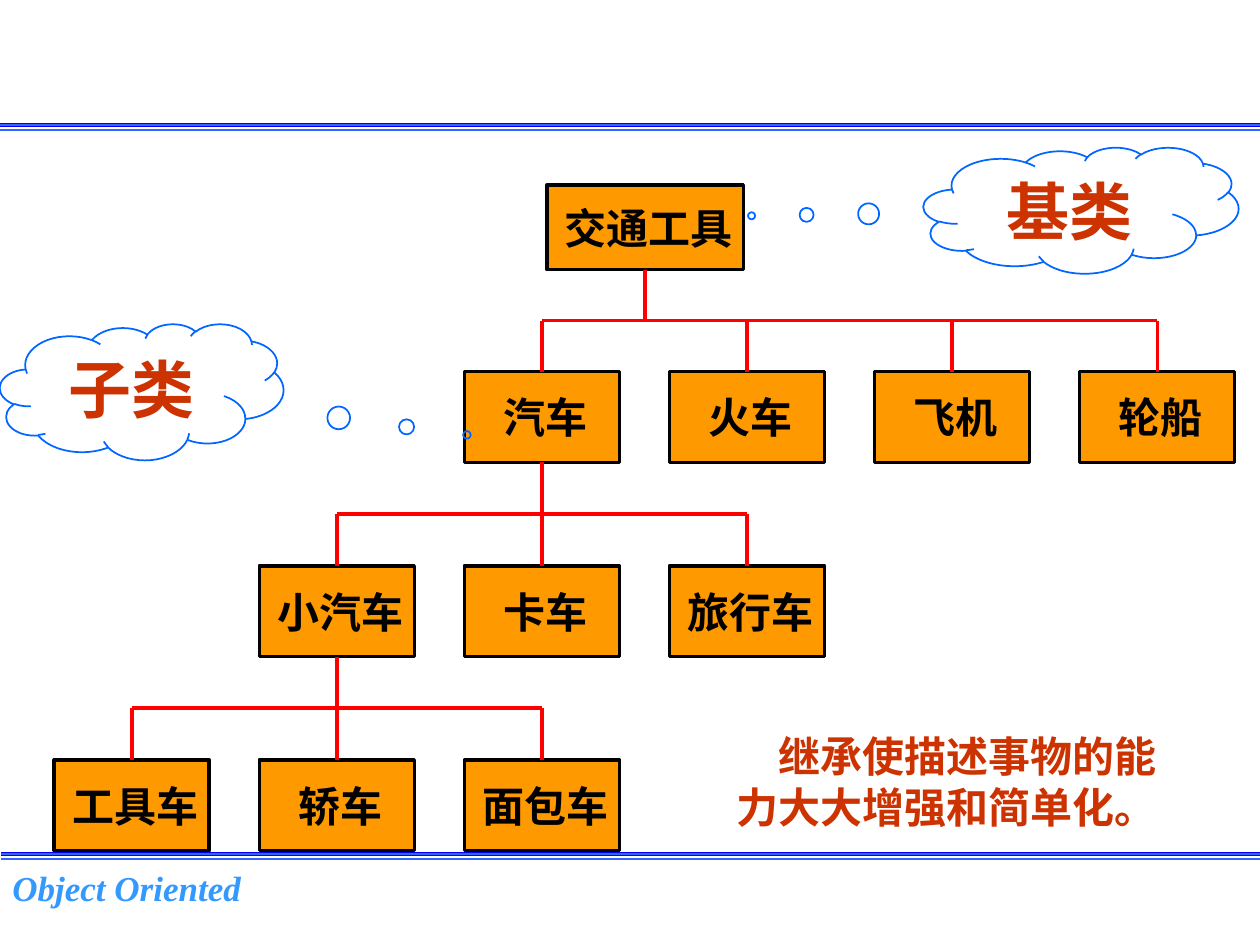
import itertools
import pptx
import pptx.util
import pptx.dml.color
import pptx.enum.shapes
import pptx.enum.text
import pptx.oxml

Pt = pptx.util.Pt
Kind = pptx.enum.shapes.MSO_SHAPE
Anchor = pptx.enum.text.MSO_ANCHOR
Align = pptx.enum.text.PP_ALIGN

ROOT = "交通工具"
ROWS = [
    (ROOT, 2, ["汽车", "火车", "飞机", "轮船"]),
    ("汽车", 1, ["小汽车", "卡车", "旅行车"]),
    ("小汽车", 0, ["工具车", "轿车", "面包车"]),
]
SANS = {ROOT, "汽车"}
CLOUDS = [
    ("基类", (527.76, 84.24, 180, 72), (-1.046, 0.043)),
    ("子类", (0, 185.04, 162, 77.76), (1.147, 0.316)),
]
NOTES = [
    ("Object Oriented", (0, 491.76, 235.44, 37.44), "3399FF",
     {"size": Pt(20), "italic": True}),
    ("\u3000继承使描述事物的能力大大增强和简单化。".replace("\u3000", "　"),
     (414, 414, 277.2, 64.8), "CC3300", {"size": Pt(24)}),
]
RULES = [(0, 71.28), (0.72, 488.16)]
STROKES = [(0, "0000FF", 2.5), (2.88, "3366FF", 1.25), (0, "3366FF", 1.25)]
LEFT, TOP, STEP, DROP = 31, 212.4, 117.2, 110.9
WIDE, HIGH = 88.6, 51.9
SERIF = "Times New Roman"

deck = pptx.Presentation()
deck.slide_width, deck.slide_height = Pt(720), Pt(540)
slide = deck.slides.add_slide(deck.slide_layouts[6])
shapes = slide.shapes


def color(code):
    return pptx.dml.color.RGBColor.from_string(code)


def style(item, values):
    for key, value in values.items():
        setattr(item, key, value)


def write(shape, text, code, font, frame):
    style(shape.text_frame, frame)
    para = shape.text_frame.paragraphs[0]
    para.text = text
    style(para.font, {"bold": True, **font})
    para.font.color.rgb = color(code)
    return para


def line(start, end, code, width):
    item = shapes.add_connector(
        pptx.enum.shapes.MSO_CONNECTOR.STRAIGHT, *start, *end)
    item.line.color.rgb = color(code)
    item.line.width = Pt(width)
    effect = pptx.oxml.parse_xml(
        '<a:effectLst xmlns:a="http://schemas.openxmlformats.org/drawingml/2006/main"/>')
    item.element.spPr.append(effect)
    return item


def outline(kind, area, code, width):
    item = shapes.add_shape(kind, *map(Pt, area))
    item.shadow.inherit = False
    item.line.color.rgb = color(code)
    item.line.width = Pt(width)
    return item


def box(text, area):
    item = outline(Kind.RECTANGLE, area, "000000", 2)
    item.fill.solid()
    item.fill.fore_color.rgb = color("FF9900")
    face = "Noto Sans CJK SC" if text in SANS else "Arial"
    para = write(item, text, "000000", {"size": Pt(24), "name": face}, {
        "margin_left": Pt(4), "margin_right": 0, "margin_top": 0,
        "margin_bottom": 0, "word_wrap": False,
        "vertical_anchor": Anchor.MIDDLE})
    para.alignment = Align.CENTER
    return item


def center(item):
    return item.left + item.width // 2


def branch(parent, kids):
    base = parent.top + parent.height
    bus = (base + kids[0].top) // 2
    red = ("FF0000", 2)
    mid = center(parent)
    stem = line((mid, base), (mid, bus), *red)
    stem.begin_connect(parent, 2)
    for kid in kids:
        spot = center(kid)
        drop = line((spot, bus), (spot, kid.top), *red)
        drop.end_connect(kid, 0)
    stops = sorted({mid, *map(center, kids)})
    for one, two in itertools.pairwise(stops):
        line((one, bus), (two, bus), *red)


for left, top in RULES:
    for shift, code, width in STROKES:
        high = Pt(top + shift)
        line((Pt(left), high), (Pt(left + 720), high), code, width)

boxes = {ROOT: box(ROOT, (312.5, 105.8, 112.3, 48.3))}
for row, (parent, first, names) in enumerate(ROWS):
    for col, name in enumerate(names, first):
        boxes[name] = box(
            name, (LEFT + STEP * col, TOP + DROP * row, WIDE, HIGH))
    branch(boxes[parent], [boxes[name] for name in names])

for text, area, tail in CLOUDS:
    cloud = outline(Kind.CLOUD_CALLOUT, area, "0066FF", 1)
    cloud.fill.background()
    for spot, value in enumerate(tail):
        cloud.adjustments[spot] = value
    para = write(cloud, text, "CC3300", {"size": Pt(36), "name": SERIF},
                 {"word_wrap": True, "vertical_anchor": Anchor.TOP})
    para.alignment = Align.CENTER

for text, area, code, font in NOTES:
    note = shapes.add_textbox(*map(Pt, area))
    write(note, text, code, {"name": SERIF, **font}, {"word_wrap": True})

deck.save("out.pptx")
